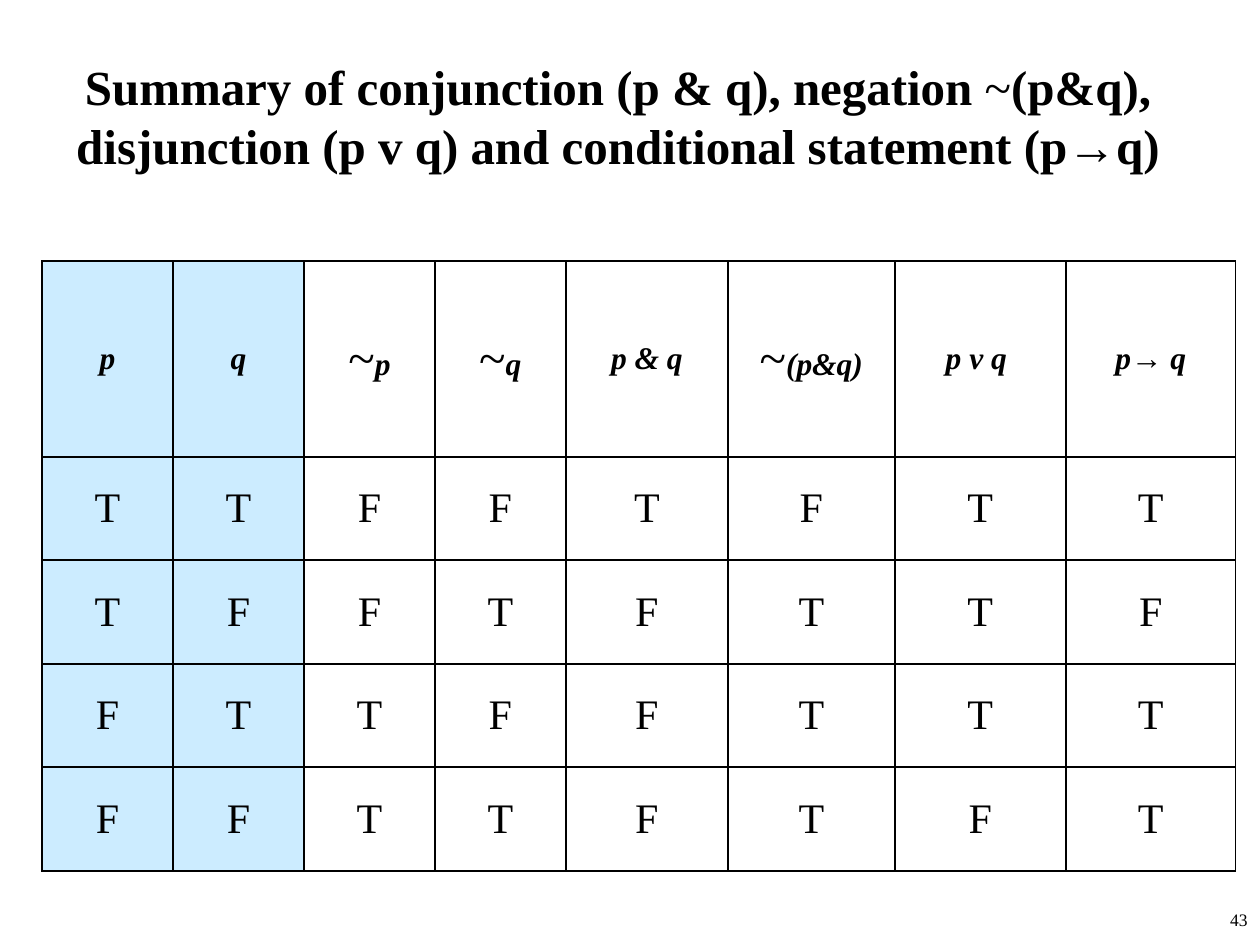
import dataclasses
import typing

import lxml.etree
import pptx
import pptx.dml.color
import pptx.enum.text
import pptx.oxml.ns
import pptx.util

FONT = "Times New Roman"
COLORS = {"ink": "000000", "tint": "CCECFF"}
ALIGN = pptx.enum.text.PP_ALIGN
MIDDLE = pptx.enum.text.MSO_ANCHOR.MIDDLE
TOP = pptx.enum.text.MSO_ANCHOR.TOP


@dataclasses.dataclass
class Run:
    text: str
    size: int
    bold: bool = False
    slant: bool = False


@dataclasses.dataclass
class Box:
    left: int
    top: int
    width: int
    height: int


def px(count: int) -> int:
    return round(count * 914400 / 126)


def color(name: str) -> pptx.dml.color.RGBColor:
    return pptx.dml.color.RGBColor.from_string(COLORS[name])


def place(box: Box) -> typing.List[int]:
    return [px(side) for side in dataclasses.astuple(box)]


def write(frame, runs: typing.List[Run], align) -> None:
    para = frame.paragraphs[0]
    para.alignment = align
    for item in runs:
        run = para.add_run()
        run.text = item.text
        font = run.font
        font.name = FONT
        font.size = pptx.util.Pt(item.size)
        font.bold = item.bold
        font.italic = item.slant
        font.color.rgb = color("ink")


def label(slide, box: Box, runs: typing.List[Run], align, anchor) -> None:
    frame = slide.shapes.add_textbox(*place(box)).text_frame
    frame.word_wrap = True
    frame.vertical_anchor = anchor
    write(frame, runs, align)


def border(cell) -> None:
    props = cell._tc.get_or_add_tcPr()
    name = pptx.oxml.ns.qn
    for side in ("lnL", "lnR", "lnT", "lnB"):
        line = lxml.etree.SubElement(props, name("a:" + side), w=str(pptx.util.Pt(1)))
        fill = lxml.etree.SubElement(line, name("a:solidFill"))
        lxml.etree.SubElement(fill, name("a:srgbClr"), val=COLORS["ink"])


def head(text: str) -> typing.List[Run]:
    if text.startswith("~"):
        return [Run("~", 28), Run(text[1:], 18, True, True)]
    return [Run(text, 18, True, True)]


def grid(slide, box: Box, cols: typing.List[int], rows: typing.List[int],
         cells: typing.List[typing.List[typing.List[Run]]]) -> None:
    table = slide.shapes.add_table(len(rows), len(cols), *place(box)).table
    table.first_row = False
    table.horz_banding = False
    for col, width in zip(table.columns, cols):
        col.width = px(width)
    for row, height in zip(table.rows, rows):
        row.height = px(height)
    for row, items in zip(table.rows, cells):
        for index, (cell, runs) in enumerate(zip(row.cells, items)):
            cell.vertical_anchor = MIDDLE
            write(cell.text_frame, runs, ALIGN.CENTER)
            border(cell)
            if index < 2:
                cell.fill.solid()
                cell.fill.fore_color.rgb = color("tint")
            else:
                cell.fill.background()


TITLE = [
    Run("Summary of conjunction (p & q), negation ", 28, True),
    Run("~", 28),
    Run("(p&q), disjunction (p v q) and conditional statement (p→q)", 28, True),
]
HEADS = ["p", "q", "~p", "~q", "p & q", "~(p&q)", "p v q ", "p→ q"]
TRUTHS = ["TTFFTFTT", "TFFTFTTF", "FTTFFTTT", "FFTTFTFT"]
COLS = [131] * 4 + [162, 167, 171, 170]
ROWS = [196] + [103, 104] * 2


def main() -> None:
    deck = pptx.Presentation()
    deck.slide_width = px(1260)
    deck.slide_height = px(945)
    slide = deck.slides.add_slide(deck.slide_layouts[6])
    label(slide, Box(998, 903, 262, 42), [Run("43", 10)], ALIGN.RIGHT, TOP)
    label(slide, Box(0, 50, 1236, 131), TITLE, ALIGN.CENTER, MIDDLE)
    cells = [[head(text) for text in HEADS]]
    cells += [[[Run(mark, 24)] for mark in line] for line in TRUTHS]
    grid(slide, Box(42, 261, sum(COLS), sum(ROWS)), COLS, ROWS, cells)
    deck.save("out.pptx")


if __name__ == "__main__":
    main()
